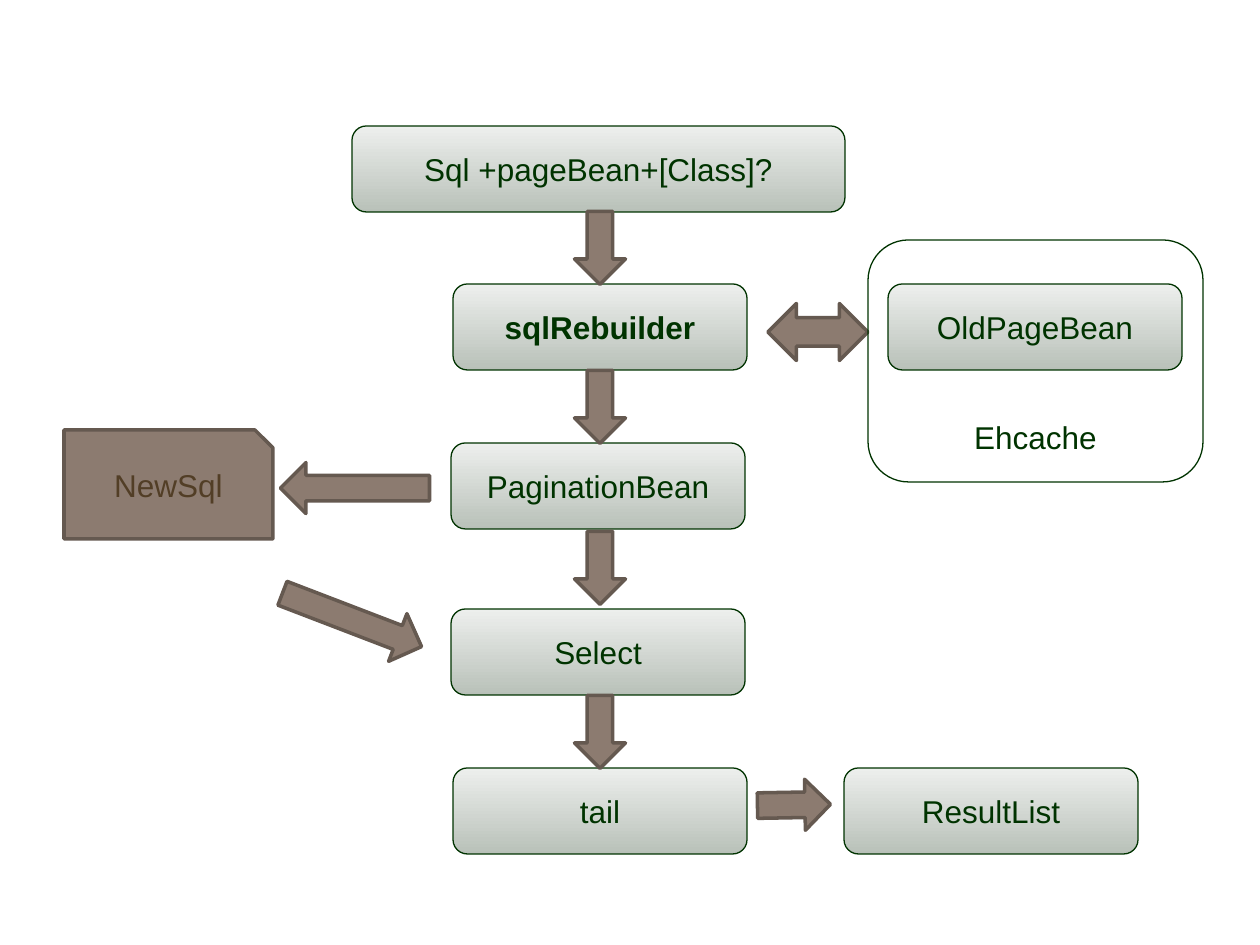
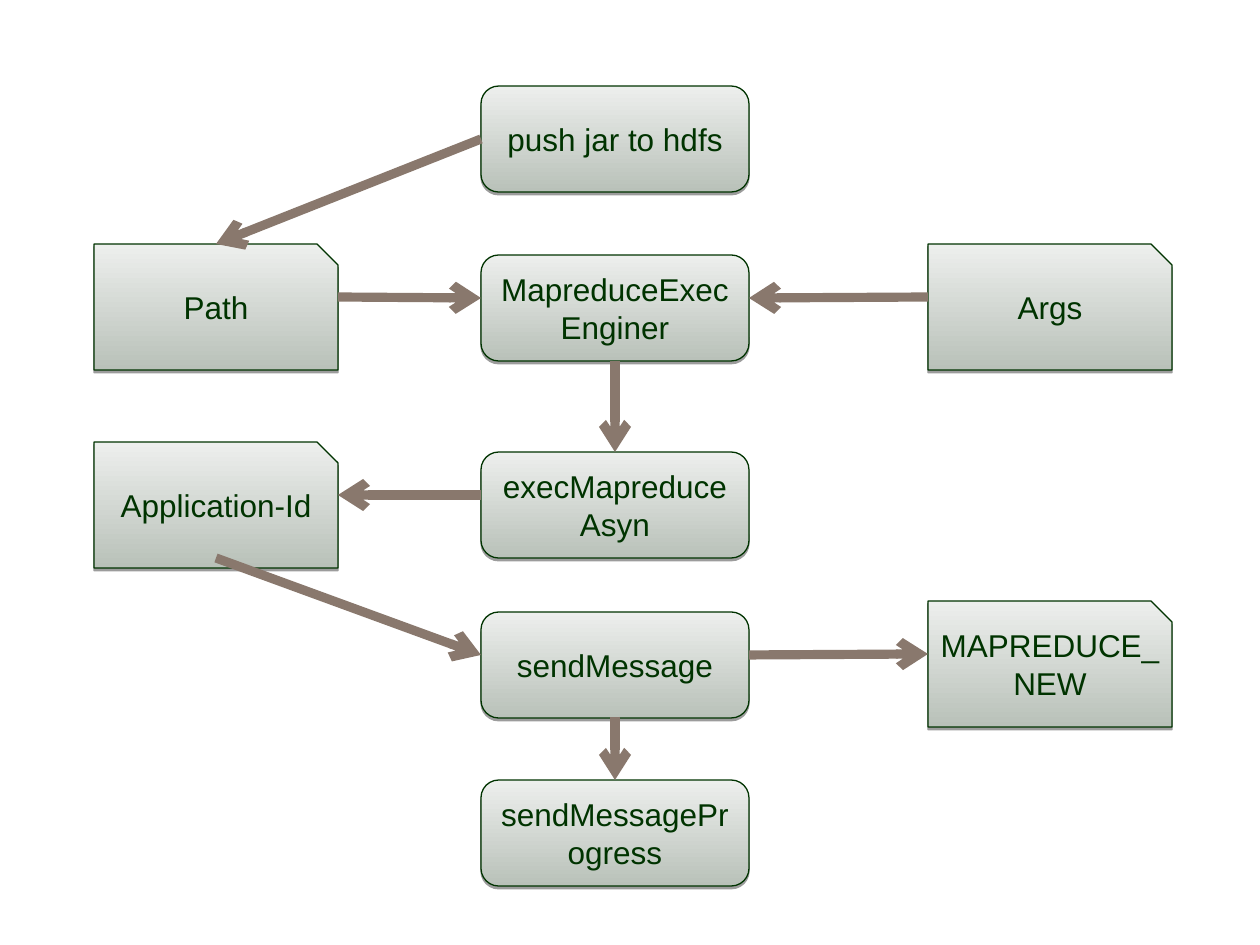
import pptx
import pptx.util
import pptx.dml.color
import pptx.enum.shapes
import pptx.enum.text
import pptx.oxml
import pptx.oxml.ns

PX = 914400 / 126
KINDS = pptx.enum.shapes.MSO_SHAPE
COLOURS = {
    "ink": "003300", "pale": "EDEFED", "sage": "B9C1B9",
    "taupe": "8C7B70", "edge": "655950", "umber": "523E26",
    "link": "89786D", "shade": "000000",
}
FONT = {"name": "Arial", "size": pptx.util.Pt(18)}
INSET = 12

QUERY_BOX = ("Sql +pageBean+[Class]?", 352, 126, 493)
STEP_WIDTH, STEP_HEIGHT = 294, 86
STEPS = [
    ("sqlRebuilder", 453, 284), ("PaginationBean", 451, 443),
    ("Select", 451, 609), ("tail", 453, 768),
    ("OldPageBean", 888, 284), ("ResultList", 844, 768),
]
NEW_SQL = ("NewSql", 64, 430, 209, 109)
CACHE = ("Ehcache", 868, 240, 335, 242)
CACHE_TEXT_DROP = 152
FLOW_X, SHORT, LONG, THICK = 600, 73, 149, 51
BLOCK_ARROWS = [
    (KINDS.RIGHT_ARROW, FLOW_X, middle, SHORT, THICK, 90)
    for middle in (248, 407, 568, 732)
] + [
    (KINDS.RIGHT_ARROW, 352, 620, LONG, THICK, 21),
    (KINDS.RIGHT_ARROW, 355, 488, LONG, THICK, 180),
    (KINDS.RIGHT_ARROW, 794, 805, SHORT, THICK, 359),
    (KINDS.LEFT_RIGHT_ARROW, 818, 332, 100, 57, 0),
]

TASK_X, TASK_WIDTH, TASK_HEIGHT = 481, 268, 106
TASKS = [
    ("push jar to hdfs", 86), ("MapreduceExecEnginer", 255),
    ("execMapreduceAsyn", 452), ("sendMessage", 612),
    ("sendMessageProgress", 780),
]
CARD_WIDTH, CARD_HEIGHT = 244, 126
LEFT_X, RIGHT_X = 94, 928
CARDS = [
    ("Path", LEFT_X, 244), ("Args", RIGHT_X, 244),
    ("Application-Id", LEFT_X, 442), ("MAPREDUCE_NEW", RIGHT_X, 601),
]
CARD_MID, CARD_END = LEFT_X + CARD_WIDTH // 2, LEFT_X + CARD_WIDTH
TASK_MID, TASK_END = TASK_X + TASK_WIDTH // 2, TASK_X + TASK_WIDTH
LINKS = [
    (TASK_X, 139, CARD_MID, 244), (CARD_END, 297, TASK_X, 298),
    (RIGHT_X, 297, TASK_END, 298), (TASK_X, 495, CARD_END, 495),
    (TASK_MID, 361, TASK_MID, 452), (CARD_MID, 558, TASK_X, 655),
    (TASK_END, 655, RIGHT_X, 654), (TASK_MID, 717, TASK_MID, 780),
]


def emu(*lengths):
    return [pptx.util.Emu(round(length * PX)) for length in lengths]


def colour(name):
    return pptx.dml.color.RGBColor.from_string(COLOURS[name])


def assign(target, values):
    for name, value in values.items():
        setattr(target, name, value)


def paint(shape, fill="gradient", edge="ink", weight=0.75):
    shape.shadow.inherit = False
    shape.line.color.rgb = colour(edge)
    shape.line.width = pptx.util.Pt(weight)
    if fill == "gradient":
        shape.fill.gradient()
        shape.fill.gradient_angle = 90
        for stop, name in zip(shape.fill.gradient_stops, ("sage", "pale")):
            stop.color.rgb = colour(name)
    elif fill:
        shape.fill.solid()
        shape.fill.fore_color.rgb = colour(fill)
    else:
        shape.fill.background()
    return shape


def write(shape, text, ink="ink", bold=False, drop=0):
    left, top, right, bottom = emu(INSET, 6 + drop, INSET, 6)
    frame = shape.text_frame
    assign(frame, {
        "word_wrap": True, "margin_left": left, "margin_top": top,
        "margin_right": right, "margin_bottom": bottom,
        "vertical_anchor": pptx.enum.text.MSO_ANCHOR.MIDDLE,
    })
    para = frame.paragraphs[0]
    para.alignment = pptx.enum.text.PP_ALIGN.CENTER
    span = para.add_run()
    span.text = text
    assign(span.font, {**FONT, "bold": bold})
    span.font.color.rgb = colour(ink)


def add_box(page, kind, *frame):
    return page.shapes.add_shape(kind, *emu(*frame))


def add_card(page, left, top, width, height):
    snip = height / 6
    right, bottom = left + width, top + height
    builder = page.shapes.build_freeform(left, top, scale=PX)
    builder.add_line_segments(
        [(right - snip, top), (right, top + snip), (right, bottom), (left, bottom)],
        close=True,
    )
    return builder.convert_to_shape()


def drop_shadow(shape):
    effects = shape.element.spPr.find(pptx.oxml.ns.qn("a:effectLst"))
    effects.append(pptx.oxml.parse_xml(
        f'<a:outerShdw {pptx.oxml.ns.nsdecls("a")} dist="20000" dir="5400000" '
        f'rotWithShape="0"><a:srgbClr val="{COLOURS["shade"]}">'
        '<a:alpha val="38000"/></a:srgbClr></a:outerShdw>'
    ))


def add_link(page, *ends):
    link = page.shapes.add_connector(
        pptx.enum.shapes.MSO_CONNECTOR.STRAIGHT, *emu(*ends))
    link.line.color.rgb = colour("link")
    link.line.width = pptx.util.Pt(5.25)
    names = pptx.oxml.ns.nsdecls("a")
    link.line._get_or_add_ln().append(
        pptx.oxml.parse_xml(f'<a:tailEnd {names} type="arrow"/>'))
    link.element.spPr.append(pptx.oxml.parse_xml(f"<a:effectLst {names}/>"))


def build_paging(page):
    rounded = KINDS.FLOWCHART_ALTERNATE_PROCESS
    steps = [(text, left, top, STEP_WIDTH) for text, left, top in STEPS]
    for text, left, top, width in [QUERY_BOX] + steps:
        box = paint(add_box(page, rounded, left, top, width, STEP_HEIGHT))
        write(box, text, bold=text == "sqlRebuilder")
    text, *frame = NEW_SQL
    write(paint(add_card(page, *frame), "taupe", "edge", 2), text, "umber")
    for kind, x, y, length, thick, turn in BLOCK_ARROWS:
        arrow = add_box(page, kind, x - length / 2, y - thick / 2, length, thick)
        paint(arrow, "taupe", "edge", 2).rotation = turn
    text, *frame = CACHE
    write(paint(add_box(page, rounded, *frame), None), text, drop=CACHE_TEXT_DROP)


def build_mapreduce(page):
    boxes = [
        (text, add_box(page, KINDS.ROUNDED_RECTANGLE,
                       TASK_X, top, TASK_WIDTH, TASK_HEIGHT))
        for text, top in TASKS
    ] + [
        (text, add_card(page, left, top, CARD_WIDTH, CARD_HEIGHT))
        for text, left, top in CARDS
    ]
    for text, box in boxes:
        drop_shadow(paint(box))
        write(box, text)
    for ends in LINKS:
        add_link(page, *ends)


def main():
    deck = pptx.Presentation()
    deck.slide_width, deck.slide_height = emu(1260, 945)
    for build in (build_paging, build_mapreduce):
        build(deck.slides.add_slide(deck.slide_layouts[6]))
    deck.save("out.pptx")


if __name__ == "__main__":
    main()
